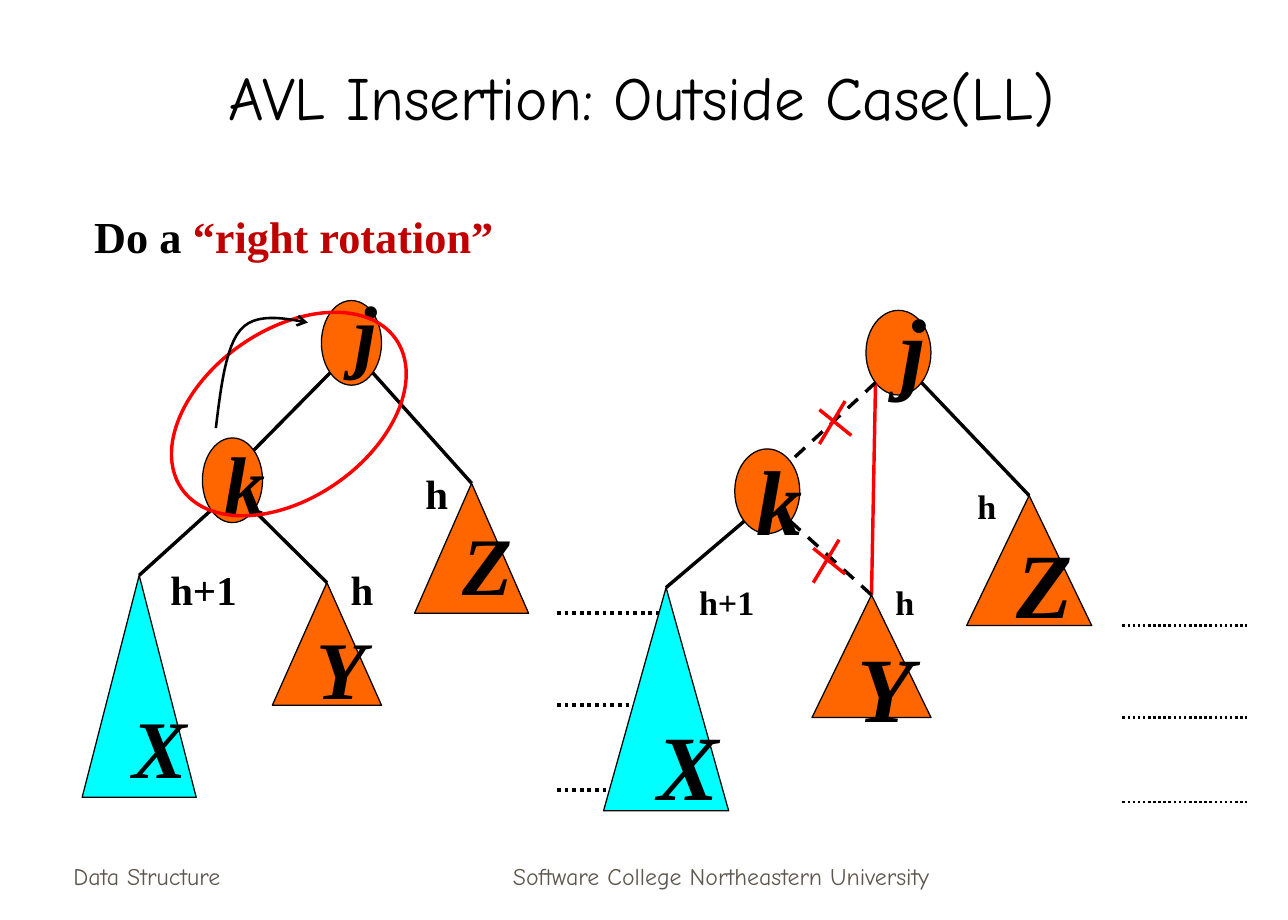
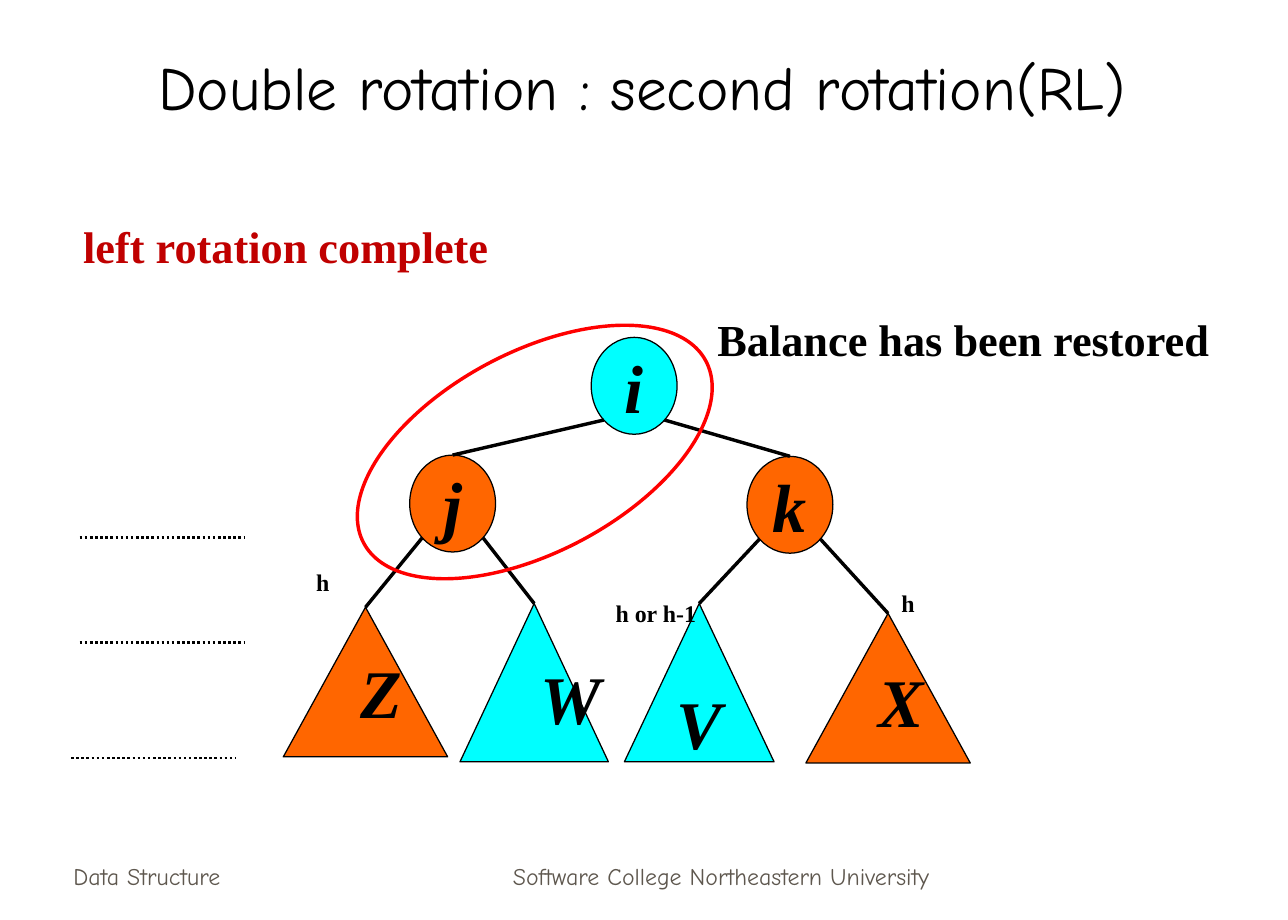
from math import sqrt

from lxml import etree
from pptx import Presentation
from pptx.dml.color import RGBColor
from pptx.enum.dml import MSO_LINE
from pptx.enum.shapes import MSO_CONNECTOR, MSO_SHAPE
from pptx.enum.text import MSO_ANCHOR, MSO_AUTO_SIZE, PP_ALIGN
from pptx.oxml.ns import qn
from pptx.util import Inches, Pt

STRAIGHT = MSO_CONNECTOR.STRAIGHT
ELLIPSE, TRIANGLE = MSO_SHAPE.OVAL, MSO_SHAPE.ISOSCELES_TRIANGLE
DASH, DOT = MSO_LINE.DASH, MSO_LINE.ROUND_DOT
LEFT, CENTER = PP_ALIGN.LEFT, PP_ALIGN.CENTER
TOP, MIDDLE, BOTTOM = MSO_ANCHOR.TOP, MSO_ANCHOR.MIDDLE, MSO_ANCHOR.BOTTOM
NO_FIT, FIT_SHAPE = MSO_AUTO_SIZE.NONE, MSO_AUTO_SIZE.SHAPE_TO_FIT_TEXT


class Theme:
    black = RGBColor.from_string("000000")
    orange = RGBColor.from_string("FF6600")
    cyan = RGBColor.from_string("00FFFF")
    red = RGBColor.from_string("FF0000")
    dark_red = RGBColor.from_string("C00000")
    footer_gray = RGBColor.from_string("5E574E")
    display_font, body_font = "Comic Neue", "Times New Roman"
    title_size, heading_size, footer_size = 36, 26, 14
    outline, edge, arc = 0.75, 2, 1.5


def write_text(shape, text, size, color=Theme.black, font=Theme.body_font, bold=True,
               italic=False, align=LEFT, anchor=TOP, wrap=False, fit=FIT_SHAPE):
    """Fill a shape with one paragraph; text is a string or (string, colour) pairs."""
    frame = shape.text_frame
    frame.word_wrap, frame.auto_size, frame.vertical_anchor = wrap, fit, anchor
    paragraph = frame.paragraphs[0]
    paragraph.alignment = align
    for words, run_color in [(text, color)] if isinstance(text, str) else text:
        run = paragraph.add_run()
        run.text = words
        run.font.name, run.font.size = font, Pt(size)
        run.font.bold, run.font.italic = bold, italic
        run.font.color.rgb = run_color


def draw_line(slide, start, end, color=Theme.black, width=Theme.edge, dash=None):
    line = slide.shapes.add_connector(STRAIGHT, *map(Inches, (*start, *end)))
    line.line.color.rgb, line.line.width = color, Pt(width)
    if dash:
        line.line.dash_style = dash
    etree.SubElement(line.element.spPr, qn("a:effectLst"))
    return line


prs = Presentation()
prs.slide_width, prs.slide_height = Inches(10.5), Inches(7.5)

# Titles, headings and footers
pages = [
    {"title": ("AVL Insertion: Outside Case(LL) ", 0.83, 0.25),
     "headings": [([("Do a ", Theme.black), ("“right rotation”", Theme.dark_red)],
                   0.67, 1.66, 3.46)]},
    {"title": ("Double rotation : second rotation(RL)", 0.75, 0.17),
     "headings": [([("left rotation complete", Theme.dark_red)], 0.58, 1.74, 3.51),
                  ("Balance has been restored", 5.75, 2.5, 4.75)]},
]
footers = [("Data Structure", 0.5, 2.19, LEFT),
           ("Software College Northeastern University", 3.59, 4.58, CENTER)]

slides = []
for page in pages:
    slide = prs.slides.add_slide(prs.slide_layouts[5])
    slides.append(slide)
    text, left, top = page["title"]
    title = slide.shapes.title
    title.left, title.top = Inches(left), Inches(top)
    title.width, title.height = Inches(8.97), Inches(0.88)
    write_text(title, text, Theme.title_size, font=Theme.display_font, bold=False,
               align=CENTER, anchor=BOTTOM, wrap=True, fit=NO_FIT)
    for text, left, width, align in footers:
        footer = slide.shapes.add_textbox(*map(Inches, (left, 6.81, width, 0.5)))
        write_text(footer, text, Theme.footer_size, color=Theme.footer_gray,
                   font=Theme.display_font, bold=False, align=align, anchor=BOTTOM,
                   wrap=True, fit=NO_FIT)
    for text, left, top, width in page["headings"]:
        heading = slide.shapes.add_textbox(*map(Inches, (left, top, width, 0.54)))
        write_text(heading, text, Theme.heading_size)

# Trees. nodes: preset, fill, frame, letter corner (None: letter centred in the node)
# edges: parent, side it leaves from (-1 left, 1 right), child, colour, dash
before_rotation = {
    "slide": slides[0], "letter_size": 48, "letter_box": (0.3, 0.9), "label_size": 24,
    "nodes": {
        "j": (ELLIPSE, Theme.orange, (2.62, 2.45, 0.49, 0.69), (2.79, 2.25)),
        "k": (ELLIPSE, Theme.orange, (1.65, 3.57, 0.49, 0.69), (1.73, 3.48)),
        "X": (TRIANGLE, Theme.cyan, (0.67, 4.69, 0.93, 1.81), (0.98, 5.63)),
        "Y": (TRIANGLE, Theme.orange, (2.22, 4.75, 0.89, 1), (2.48, 4.99)),
        "Z": (TRIANGLE, Theme.orange, (3.38, 3.94, 0.93, 1.06), (3.67, 4.14)),
    },
    "edges": [("j", -1, "k", Theme.black, None), ("j", 1, "Z", Theme.black, None),
              ("k", -1, "X", Theme.black, None), ("k", 1, "Y", Theme.black, None)],
    "joins_circle_tops": False,
    "levels": [(4.54, 5), (4.54, 5.75), (4.54, 6.44)],
    "level_length": 0.93, "level_width": 2.25,
    "labels": [("h", 3.37, 3.77, 0.38, 0.5), ("h+1", 1.29, 4.55, 0.74, 0.5),
               ("h", 2.76, 4.55, 0.38, 0.5)],
    "ring": ((1.29, 2.69, 2.13, 1.37), 325),
}
relinking = {
    "slide": slides[0], "letter_size": 54, "letter_box": (0.33, 1), "label_size": 20,
    "nodes": {
        "j": (ELLIPSE, Theme.orange, (7.06, 2.53, 0.53, 0.69), (7.24, 2.33)),
        "k": (ELLIPSE, Theme.orange, (5.99, 3.66, 0.53, 0.69), (6.07, 3.57)),
        "X": (TRIANGLE, Theme.cyan, (4.92, 4.79, 1.02, 1.82), (5.26, 5.73)),
        "Y": (TRIANGLE, Theme.orange, (6.62, 4.85, 0.97, 1), (6.89, 5.09)),
        "Z": (TRIANGLE, Theme.orange, (7.88, 4.04, 1.02, 1.06), (8.19, 4.24)),
    },
    "edges": [("k", -1, "X", Theme.black, None), ("j", 1, "Z", Theme.black, None),
              ("j", -1, "Y", Theme.red, None), ("j", -1, "k", Theme.black, DASH),
              ("k", 1, "Y", Theme.black, DASH)],
    "joins_circle_tops": False,
    "levels": [(9.15, 5.1), (9.15, 5.85), (9.15, 6.54)],
    "level_length": 1.02, "level_width": 1.5,
    "labels": [("h", 7.87, 3.91, 0.35, 0.44), ("h+1", 5.6, 4.69, 0.65, 0.44),
               ("h", 7.2, 4.69, 0.35, 0.44)],
    "ring": None,
}
balanced = {
    "slide": slides[1], "letter_size": 40, "letter_box": (0.43, 0.77), "label_size": 14,
    "nodes": {
        "j": (ELLIPSE, Theme.orange, (3.34, 3.71, 0.7, 0.79), None),
        "k": (ELLIPSE, Theme.orange, (6.09, 3.72, 0.7, 0.79), None),
        "X": (TRIANGLE, Theme.orange, (6.57, 5, 1.34, 1.22), (7.06, 5.33)),
        "V": (TRIANGLE, Theme.cyan, (5.09, 4.92, 1.22, 1.29), None),
        "Z": (TRIANGLE, Theme.orange, (2.31, 4.95, 1.34, 1.22), (2.84, 5.25)),
        "W": (TRIANGLE, Theme.cyan, (3.75, 4.92, 1.21, 1.29), (4.31, 5.3)),
        "i": (ELLIPSE, Theme.cyan, (4.82, 2.75, 0.7, 0.79), None),
    },
    "edges": [("i", -1, "j", Theme.black, None), ("i", 1, "k", Theme.black, None),
              ("j", -1, "Z", Theme.black, None), ("j", 1, "W", Theme.black, None),
              ("k", -1, "V", Theme.black, None), ("k", 1, "X", Theme.black, None)],
    "joins_circle_tops": True,
    "levels": [(0.65, 4.38), (0.65, 5.24), (0.58, 6.18)],
    "level_length": 1.34, "level_width": 1.5,
    "labels": [("h", 2.48, 4.58, 0.3, 0.34), ("h", 7.25, 4.75, 0.31, 0.34),
               ("h or h-1", 4.92, 4.83, 0.86, 0.34)],
    "ring": ((2.78, 2.87, 3.16, 1.63), 332),
}

for tree in (before_rotation, relinking, balanced):
    slide, nodes = tree["slide"], tree["nodes"]

    # Dotted level lines
    for left, y in tree["levels"]:
        draw_line(slide, (left, y), (left + tree["level_length"], y),
                  width=tree["level_width"], dash=DOT)

    # Nodes and subtrees
    drawn = {}
    for letter, (preset, fill, frame, corner) in nodes.items():
        node = slide.shapes.add_shape(preset, *map(Inches, frame))
        node.shadow.inherit = False
        node.fill.solid()
        node.fill.fore_color.rgb = fill
        node.line.color.rgb, node.line.width = Theme.black, Pt(Theme.outline)
        drawn[letter] = node

    # Edges leave a circle on its lower diagonal
    for parent, side, child, color, dash in tree["edges"]:
        left, top, width, height = nodes[parent][2]
        start = (left + width / 2 * (1 + side / sqrt(2)),
                 top + height / 2 * (1 + 1 / sqrt(2)))
        preset, _, (left, top, width, height), _ = nodes[child]
        if preset == TRIANGLE or tree["joins_circle_tops"]:
            edge = draw_line(slide, start, (left + width / 2, top), color, dash=dash)
            edge.end_connect(drawn[child], 0)
        else:
            end = (left + width / 2 * (1 - side / sqrt(2)),
                   top + height / 2 * (1 - 1 / sqrt(2)))
            draw_line(slide, start, end, color, dash=dash)

    # Letters
    for letter, (_, _, _, corner) in nodes.items():
        if corner:
            box = slide.shapes.add_textbox(*map(Inches, (*corner, *tree["letter_box"])))
            write_text(box, letter, tree["letter_size"], italic=True, wrap=True)
        else:
            write_text(drawn[letter], letter, tree["letter_size"], italic=True,
                       align=CENTER, anchor=MIDDLE, fit=NO_FIT)

    # Subtree heights
    for text, *frame in tree["labels"]:
        label = slide.shapes.add_textbox(*map(Inches, frame))
        write_text(label, text, tree["label_size"])

    # Ring around the rotated pair
    if tree["ring"]:
        frame, angle = tree["ring"]
        ring = slide.shapes.add_shape(ELLIPSE, *map(Inches, frame))
        ring.rotation = angle
        ring.shadow.inherit = False
        ring.fill.background()
        ring.line.color.rgb, ring.line.width = Theme.red, Pt(Theme.edge)

# Crosses on the two cut edges
for dx, dy in ((0, 0), (-0.05, 1.13)):
    for x1, y1, x2, y2 in ((6.68, 3.34, 6.94, 3.55), (6.89, 3.27, 6.68, 3.62)):
        draw_line(slides[0], (x1 + dx, y1 + dy), (x2 + dx, y2 + dy), Theme.red)

# Rotation arrow: two cubic curves traced in short steps
curves = [((1.76, 3.49), (1.8, 3.16), (1.84, 2.83), (1.96, 2.69)),
          ((1.96, 2.69), (2.08, 2.55), (2.3, 2.59), (2.51, 2.63))]
STEPS = 12
trace = []
for curve in curves:
    for step in range(1, STEPS + 1):
        t = step / STEPS
        weights = ((1 - t) ** 3, 3 * t * (1 - t) ** 2, 3 * t ** 2 * (1 - t), t ** 3)
        trace.append([Inches(sum(w * point[axis] for w, point in zip(weights, curve)))
                      for axis in (0, 1)])
builder = slides[0].shapes.build_freeform(*map(Inches, curves[0][0]))
builder.add_line_segments(trace, close=False)
rotation_arrow = builder.convert_to_shape()
rotation_arrow.shadow.inherit = False
rotation_arrow.fill.background()
rotation_arrow.line.color.rgb = Theme.black
rotation_arrow.line.width = Pt(Theme.arc)
outline = rotation_arrow.element.spPr.find(qn("a:ln"))
etree.SubElement(outline, qn("a:tailEnd"), type="arrow")

prs.save("out.pptx")
